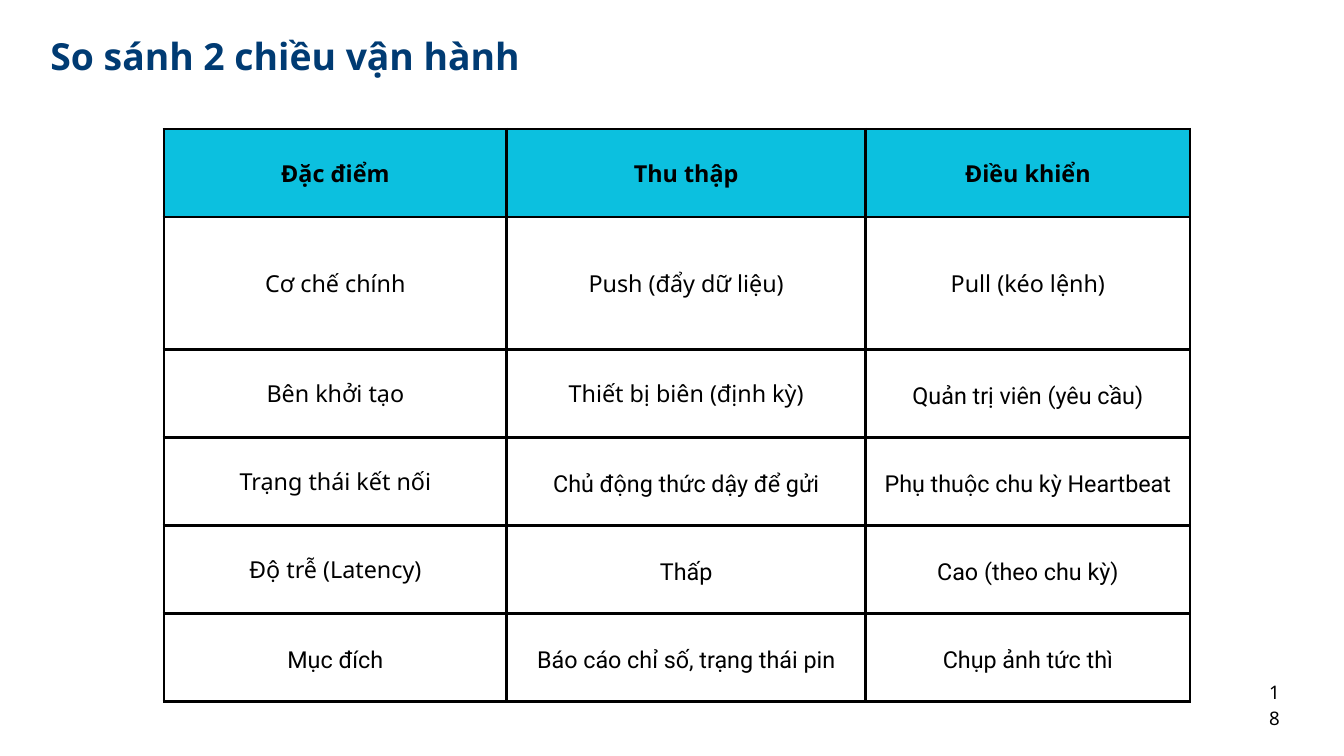
from lxml import etree
from pptx import Presentation
from pptx.dml.color import RGBColor
from pptx.enum.text import MSO_ANCHOR, MSO_AUTO_SIZE, PP_ALIGN
from pptx.oxml.ns import qn
from pptx.util import Inches, Pt

LEFT, CENTER = PP_ALIGN.LEFT, PP_ALIGN.CENTER
TOP, MIDDLE = MSO_ANCHOR.TOP, MSO_ANCHOR.MIDDLE
NO_FIT = MSO_AUTO_SIZE.NONE

NOTO, ROBOTO = "Noto Sans", "Roboto"
BLACK, NAVY, CYAN = "000000", "003B73", "0CC0DF"

COLS = [5.1, 5.34, 4.83]
ROWS = [1.31, 1.97, 1.31, 1.31, 1.31, 1.31]
CELLS = [
    ["Đặc điểm", "Thu thập", "Điều khiển"],
    ["Cơ chế chính", "Push (đẩy dữ liệu)", "Pull (kéo lệnh)"],
    ["Bên khởi tạo", "Thiết bị biên (định kỳ)", "Quản trị viên (yêu cầu)"],
    ["Trạng thái kết nối", "Chủ động thức dậy để gửi", "Phụ thuộc chu kỳ Heartbeat"],
    ["Độ trễ (Latency)", "Thấp", "Cao (theo chu kỳ)"],
    ["Mục đích", "Báo cáo chỉ số, trạng thái pin", "Chụp ảnh tức thì"],
]
# In each row, the first column that is set in Roboto
SWITCH = [3, 3, 2, 1, 1, 0]


def color(code):
    return RGBColor.from_string(code)


def write(frame, text, size, lead, align, font=NOTO, ink=BLACK, bold=False):
    frame.text = text
    para = frame.paragraphs[0]
    para.alignment = align
    para.line_spacing = Pt(lead)
    face = para.runs[0].font
    face.name, face.size, face.bold = font, Pt(size), bold
    face.color.rgb = color(ink)


def set_frame(frame):
    frame.margin_left = frame.margin_right = 0
    frame.margin_top = frame.margin_bottom = 0
    frame.word_wrap = True
    frame.auto_size = NO_FIT
    frame.vertical_anchor = TOP


def set_border(cell, code, width):
    props = cell._tc.get_or_add_tcPr()
    for i, side in enumerate(("a:lnL", "a:lnR", "a:lnT", "a:lnB")):
        line = etree.Element(qn(side), w=str(Pt(width)))
        fill = etree.SubElement(line, qn("a:solidFill"))
        etree.SubElement(fill, qn("a:srgbClr"), val=code)
        props.insert(i, line)


def add_title(slide, left, top, width, height):
    title = slide.shapes.title
    title.left, title.top = Inches(left), Inches(top)
    title.width, title.height = Inches(width), Inches(height)
    set_frame(title.text_frame)
    write(title.text_frame, "So sánh 2 chiều vận hành", 40, 56, LEFT,
          ink=NAVY, bold=True)


def add_grid(slide, left, top):
    frame = slide.shapes.add_table(
        len(ROWS), len(COLS), Inches(left), Inches(top),
        Inches(sum(COLS)), Inches(sum(ROWS)))
    table = frame.table
    table.horz_banding = False
    for col, width in zip(table.columns, COLS):
        col.width = Inches(width)
    for r, (row, height) in enumerate(zip(table.rows, ROWS)):
        row.height = Inches(height)
        for c, cell in enumerate(row.cells):
            head = r == 0
            font = ROBOTO if c >= SWITCH[r] else NOTO
            write(cell.text_frame, CELLS[r][c], 25, 35, CENTER, font, bold=head)
            cell.vertical_anchor = MIDDLE
            cell.margin_left = cell.margin_right = Inches(0.21)
            cell.margin_top = cell.margin_bottom = Inches(0.21)
            if head:
                cell.fill.solid()
                cell.fill.fore_color.rgb = color(CYAN)
            else:
                cell.fill.background()
            set_border(cell, BLACK, 3)


def add_number(slide, left, top, width, height):
    box = slide.shapes.add_textbox(
        Inches(left), Inches(top), Inches(width), Inches(height))
    set_frame(box.text_frame)
    write(box.text_frame, "18", 20, 28, CENTER)


def main():
    deck = Presentation()
    deck.slide_width, deck.slide_height = Inches(20), Inches(11.25)
    slide = deck.slides.add_slide(deck.slide_layouts[5])  # title only
    add_title(slide, 0.75, 0.38, 7.14, 0.74)
    add_grid(slide, 2.44, 1.92)
    add_number(slide, 18.88, 10.07, 0.17, 0.78)
    deck.save("out.pptx")


if __name__ == "__main__":
    main()
